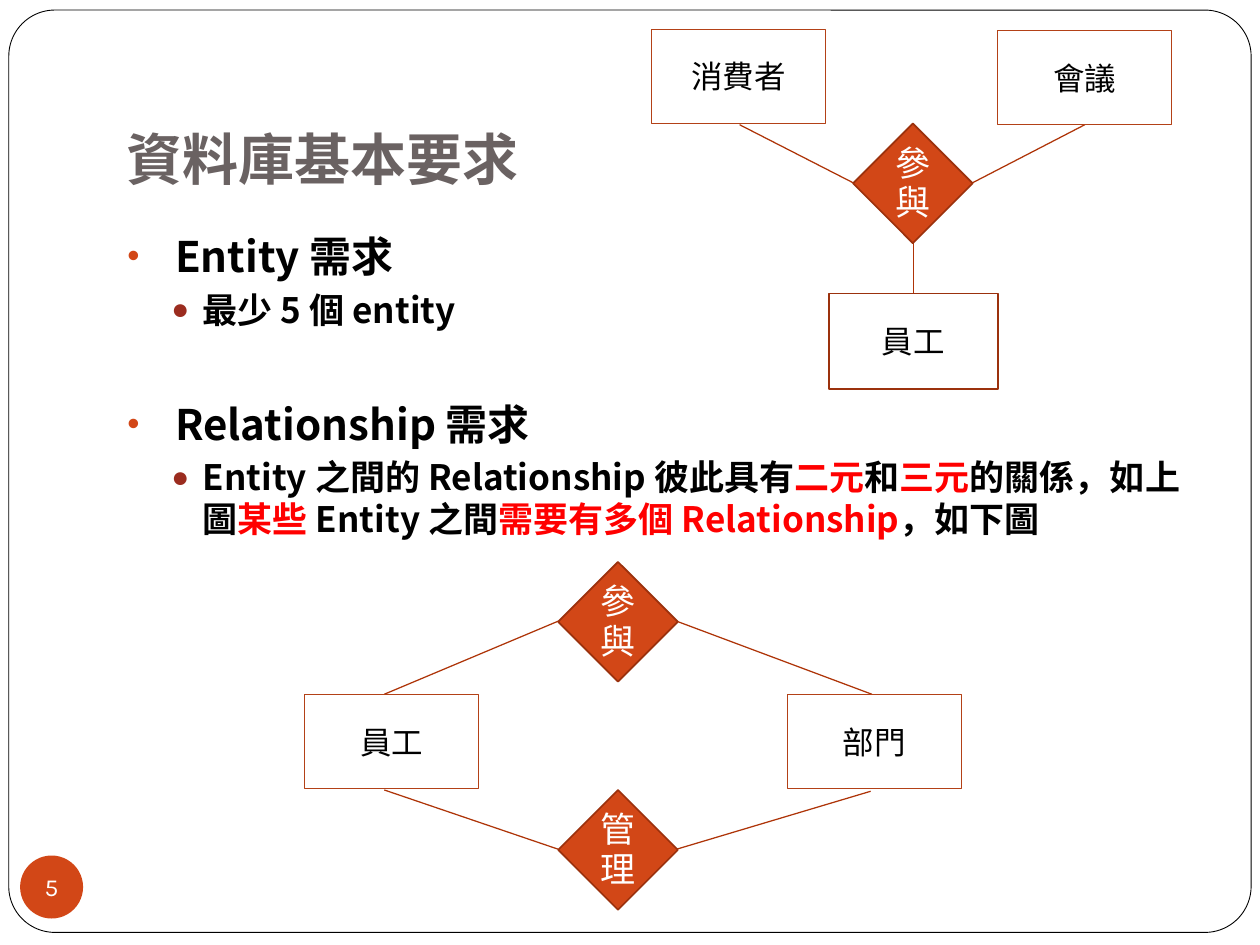
from lxml.etree import SubElement
from pptx import Presentation
from pptx.dml.color import RGBColor
from pptx.enum.shapes import MSO_CONNECTOR as Connector, MSO_SHAPE as Preset
from pptx.enum.text import MSO_ANCHOR as Anchor, MSO_AUTO_SIZE as AutoSize, PP_ALIGN as Align
from pptx.oxml.ns import qn
from pptx.util import Inches, Pt

COLORS = {
    "black": "000000", "white": "FFFFFF", "title": "6A6262", "red": "FF0000",
    "orange": "D24717", "brick": "9B2C1F", "edge": "9B310D",
    "link": "AE3408", "box": "B34117",
}
EAST_ASIAN = "Noto Sans CJK TC"
BOX_SIZE = (1.38, 0.75)
DIAMOND_SIZE = (0.95, 0.95)

BOXES = [
    ("消費者", 5.17, 0.23, BOX_SIZE, "box", 0.5),
    ("會議", 7.92, 0.24, BOX_SIZE, "box", 0.5),
    ("員工", 6.58, 2.33, (1.34, 0.76), "edge", 0.96),
    ("員工", 2.42, 5.51, BOX_SIZE, "box", 0.5),
    ("部門", 6.25, 5.51, BOX_SIZE, "box", 0.5),
]
DIAMONDS = [("參 與", 6.77, 0.98), ("參與", 4.43, 4.46), ("管 理", 4.43, 6.27)]
LINKS = [
    (5.87, 0.99, 6.77, 1.45), (7.72, 1.45, 8.61, 0.99), (7.25, 1.93, 7.25, 2.33),
    (3.05, 5.51, 4.43, 4.93), (5.37, 4.93, 6.92, 5.51),
    (3.05, 6.27, 4.43, 6.74), (5.37, 6.74, 6.91, 6.28),
]
REQUIREMENTS = [
    (0, 0, [("Entity 需求", "black")]),
    (1, 4.1, [("最少 5 個 entity", "black")]),
    (0, 39, [("Relationship 需求", "black")]),
    (1, 4.1, [
        ("Entity 之間的 Relationship 彼此具有", "black"), ("二元", "red"),
        ("和", "black"), ("三元", "red"), ("的關係，如上圖", "black"),
        ("某些 ", "red"), ("Entity 之間", "black"),
        ("需要有多個 Relationship", "red"), ("，如下圖", "black"),
    ]),
]
LEVELS = [
    {"size": 24, "margin": 0.39, "indent": -0.38, "bullet": "•", "color": "orange", "scale": 83},
    {"size": 20, "margin": 0.61, "indent": -0.25, "bullet": "●", "color": "brick", "scale": 85},
]


def rgb(name):
    return RGBColor.from_string(COLORS[name])


def style_font(paragraph, name, size, color, bold=False):
    font = paragraph.font
    font.name, font.size, font.bold = name, Pt(size), bold
    font.color.rgb = rgb(color)
    SubElement(font._element, qn("a:ea"), typeface=EAST_ASIAN)


def clear_margins(frame):
    frame.margin_left = frame.margin_right = frame.margin_top = frame.margin_bottom = 0


def place(shape, left, top, width, height):
    shape.left, shape.top = Inches(left), Inches(top)
    shape.width, shape.height = Inches(width), Inches(height)
    frame = shape.text_frame
    frame.auto_size, frame.word_wrap = AutoSize.NONE, True
    frame.vertical_anchor = Anchor.TOP
    clear_margins(frame)
    return frame


def add_preset(slide, preset, left, top, size, fill=None, line=None, weight=0.5):
    shape = slide.shapes.add_shape(preset, Inches(left), Inches(top), *map(Inches, size))
    shape.shadow.inherit = False
    if fill:
        shape.fill.solid()
        shape.fill.fore_color.rgb = rgb(fill)
    else:
        shape.fill.background()
    if line:
        shape.line.color.rgb = rgb(line)
        shape.line.width = Pt(weight)
    else:
        shape.line.fill.background()
    return shape


def add_label(shape, text, name, size, color):
    frame = shape.text_frame
    frame.word_wrap, frame.vertical_anchor = True, Anchor.MIDDLE
    clear_margins(frame)
    paragraph = frame.paragraphs[0]
    paragraph.text, paragraph.alignment = text, Align.CENTER
    style_font(paragraph, name, size, color)
    return paragraph


def add_frame(slide):
    frame = add_preset(slide, Preset.ROUNDED_RECTANGLE, 0.07, 0.08, (9.86, 7.32), line="black")
    frame.adjustments[0] = 0.05


def add_page_number(slide):
    circle = add_preset(slide, Preset.OVAL, 0.16, 6.79, (0.5, 0.5), fill="orange")
    add_label(circle, "5", "Karla", 14, "white")


def add_link(slide, *ends):
    link = slide.shapes.add_connector(Connector.STRAIGHT, *map(Inches, ends))
    link.line.color.rgb = rgb("link")
    link.line.width = Pt(0.72)
    SubElement(link._element.spPr, qn("a:effectLst"))


def add_entity(slide, text, left, top, size, line, weight):
    box = add_preset(slide, Preset.RECTANGLE, left, top, size, line=line, weight=weight)
    add_label(box, text, "Calibri", 18, "black")


def add_relationship(slide, text, left, top):
    diamond = add_preset(slide, Preset.DIAMOND, left, top, DIAMOND_SIZE, "orange", "edge", 0.96)
    add_label(diamond, text, EAST_ASIAN, 20, "white").line_spacing = Pt(22.6)


def set_bullet(paragraph, level):
    properties = paragraph._p.get_or_add_pPr()
    properties.set("marL", str(Inches(level["margin"])))
    properties.set("indent", str(Inches(level["indent"])))
    color = SubElement(properties, qn("a:buClr"))
    SubElement(color, qn("a:srgbClr"), val=COLORS[level["color"]])
    SubElement(properties, qn("a:buSzPct"), val=str(level["scale"] * 1000))
    SubElement(properties, qn("a:buFont"), typeface="Arial")
    SubElement(properties, qn("a:buChar"), char=level["bullet"])


def fill_title(slide):
    frame = place(slide.shapes.title, 1, 0.99, 3.25, 0.54)
    paragraph = frame.paragraphs[0]
    paragraph.text, paragraph.alignment = "資料庫基本要求", Align.LEFT
    style_font(paragraph, "Calibri", 32, "title", True)


def fill_requirements(slide):
    frame = place(slide.placeholders[1], 1, 1.83, 8.5, 2.47)
    for index, (depth, space, runs) in enumerate(REQUIREMENTS):
        paragraph = frame.add_paragraph() if index else frame.paragraphs[0]
        level = LEVELS[depth]
        paragraph.level = depth
        paragraph.space_before = Pt(space)
        paragraph.line_spacing = Pt(level["size"] * 1.2)
        set_bullet(paragraph, level)
        style_font(paragraph, "Noto Sans CJK SC", level["size"], "black", True)
        for text, color in runs:
            run = paragraph.add_run()
            run.text = text
            if color != "black":
                run.font.color.rgb = rgb(color)


def main():
    """Build the database requirements slide."""
    presentation = Presentation()
    presentation.slide_width, presentation.slide_height = Inches(10), Inches(7.5)
    slide = presentation.slides.add_slide(presentation.slide_layouts[1])
    add_frame(slide)
    add_page_number(slide)
    fill_title(slide)
    fill_requirements(slide)
    for link in LINKS:
        add_link(slide, *link)
    for diamond in DIAMONDS:
        add_relationship(slide, *diamond)
    for box in BOXES:
        add_entity(slide, *box)
    presentation.save("out.pptx")


if __name__ == "__main__":
    main()
